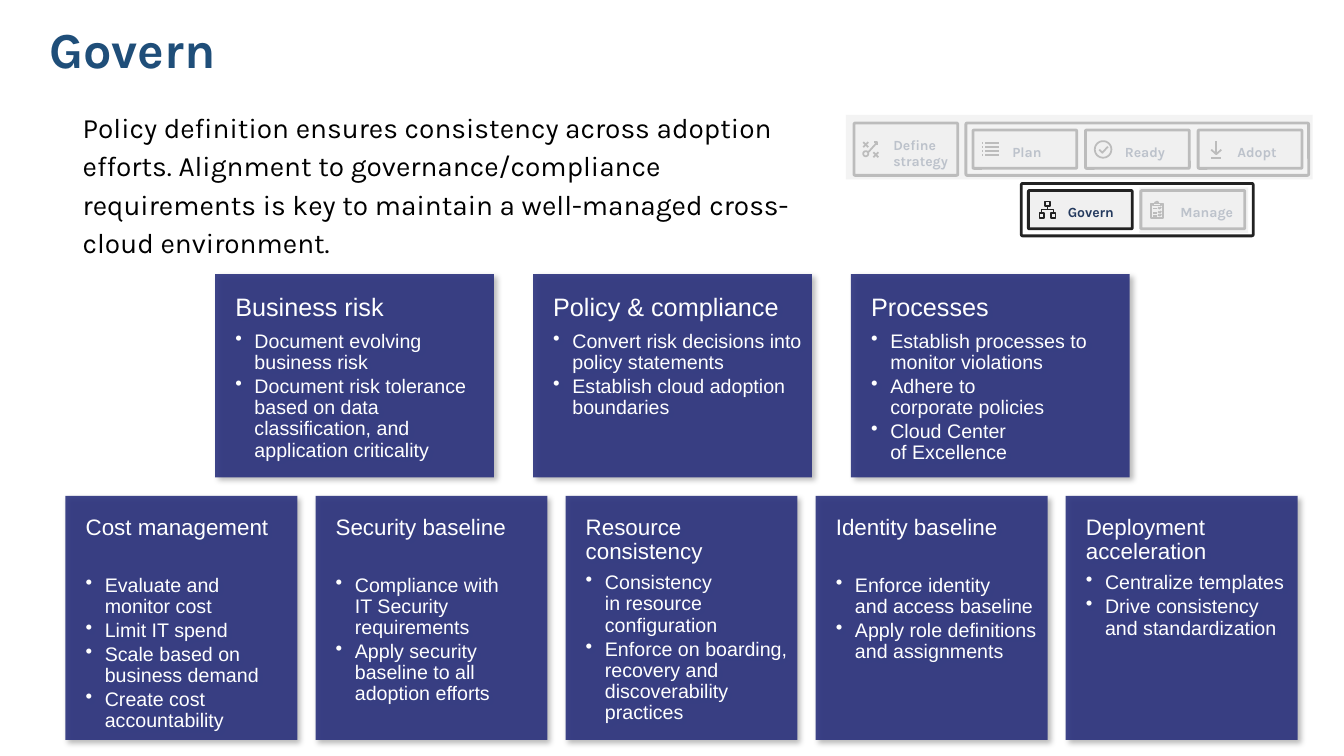
import math

from lxml import etree
from pptx import Presentation
from pptx import util as u
from pptx.dml.color import RGBColor
from pptx.enum import shapes, text
from pptx.oxml.ns import qn

COLUMNS, ROWS = 160, 90  # square cells, twelve to the inch


def color(value):
    return RGBColor.from_string(value)


class Canvas:
    """Style and current slide; places and sizes are given in grid cells."""

    ink, pale, navy, white = "222222", "F0F0F0", "2A317D", "FFFFFF"
    heading_font, card_font = "Karla", "Arial"

    def __init__(self, presentation):
        self.cell = presentation.slide_height / ROWS
        self.slide = presentation.slides.add_slide(presentation.slide_layouts[6])
        self.shapes = self.slide.shapes

    def start_group(self):
        self.shapes = self.slide.shapes.add_group_shape().shapes

    def end_group(self):
        self.shapes = self.slide.shapes

    def place(self, *cells):
        return [u.Emu(round(value * self.cell)) for value in cells]

    def paint(self, shape, fill=None, line=None, width=2, opacity=100):
        shape.shadow.inherit = False
        if fill:
            shape.fill.solid()
            shape.fill.fore_color.rgb = color(fill)
            if opacity < 100:
                tint = shape._element.spPr.find(qn("a:solidFill"))[0]
                etree.SubElement(tint, qn("a:alpha"), val=str(opacity * 1000))
        else:
            shape.fill.background()
        if line:
            shape.line.color.rgb = color(line)
            shape.line.width = u.Pt(width)
        else:
            shape.line.fill.background()

    def box(self, left, top, width, height, rounded=False, **style):
        kind = shapes.MSO_SHAPE.ROUNDED_RECTANGLE if rounded else shapes.MSO_SHAPE.RECTANGLE
        shape = self.shapes.add_shape(kind, *self.place(left, top, width, height))
        if rounded:
            shape.adjustments[0] = 0.025
        self.paint(shape, **style)
        return shape

    def set_insets(self, frame, left, top, right, bottom):
        frame.word_wrap = True
        frame.margin_left, frame.margin_top, frame.margin_right, frame.margin_bottom = self.place(
            left, top, right, bottom)

    def set_text(self, paragraph, wording, size, font, ink, bold=False, spacing=None, after=None):
        paragraph.text = wording
        paragraph.alignment = text.PP_ALIGN.LEFT
        paragraph.line_spacing = spacing
        if after is not None:
            paragraph.space_after = u.Pt(after)
        paragraph.font.size = u.Pt(size)
        paragraph.font.name = font
        paragraph.font.bold = bold
        paragraph.font.color.rgb = color(ink)

    def label(self, place, wording, size, ink, insets, anchor=text.MSO_ANCHOR.TOP, **style):
        frame = self.shapes.add_textbox(*self.place(*place)).text_frame
        self.set_insets(frame, *insets)
        frame.vertical_anchor = anchor
        self.set_text(frame.paragraphs[0], wording, size, self.heading_font, ink, **style)

    def icon(self, left, top, strokes):
        """Draw open strokes, given in hundredths of an inch."""
        builder = None
        for stroke in strokes:
            first, *rest = [(x * 10, y * 10) for x, y in stroke]
            if builder is None:
                builder = self.shapes.build_freeform(*first, scale=u.Inches(1) / 1000)
            else:
                builder.move_to(*first)
            builder.add_line_segments(rest, close=False)
        self.paint(builder.convert_to_shape(*self.place(left, top)), line=self.ink, width=1.25)

    def step(self, left, top, wording, offset, strokes, height=4.56, lines=1):
        self.box(left, top, 12.36, height, rounded=True, fill=self.pale, line=self.ink)
        self.label((left - 0.12, top + 1.56, 12.6, 1.56 * lines), wording, 10, "243A5E",
                   (4.8, 0, 0, 0), bold=True)
        self.icon(left + offset[0], top + offset[1], strokes)

    def card(self, place, heading, size, gap, bullets):
        shape = self.box(*place, fill=self.navy, opacity=90)
        effects = shape._element.spPr.find(qn("a:effectLst"))
        shadow = etree.SubElement(effects, qn("a:outerShdw"), blurRad="50800", dist="38100",
                                  dir="2700000", algn="tl", rotWithShape="0")
        tint = etree.SubElement(shadow, qn("a:srgbClr"), val="000000")
        etree.SubElement(tint, qn("a:alpha"), val="30000")
        frame = shape.text_frame
        self.set_insets(frame, 2.4, 2.4, 1.2, 0)
        frame.vertical_anchor = text.MSO_ANCHOR.TOP
        self.set_text(frame.paragraphs[0], heading, size, self.card_font, self.white,
                      spacing=0.9, after=gap)
        for bullet in bullets:
            paragraph = frame.add_paragraph()
            properties = paragraph._p.get_or_add_pPr()
            indent = u.Inches(0.19)
            properties.set("marL", str(int(indent)))
            properties.set("indent", str(-int(indent)))
            etree.SubElement(properties, qn("a:buChar"), char="•")
            self.set_text(paragraph, bullet, 14, self.card_font, self.white, spacing=0.9, after=2)


def ring(x, y, radius):
    angles = [math.tau * turn / 32 for turn in range(33)]
    return [(x + radius * math.cos(a), y + radius * math.sin(a)) for a in angles]


def square(x, y, width, height):
    return [(x, y), (x + width, y), (x + width, y + height), (x, y + height), (x, y)]


# Icon strokes
STRATEGY = [[(5, 5), (0, 0)], [(5, 0), (0, 5)], [(15, 15), (10, 10)], [(15, 10), (10, 15)],
            ring(2.5, 11.5, 2.5), [(5, 10), (14, 0)], [(14, 3), (14, 0), (11, 0)]]
PLAN = [[(x, y), (end, y)] for y in range(0, 13, 4) for x, end in ((3, 16.5), (0, 1))]
READY = [ring(8.25, 8.25, 8.25), [(4.5, 8.5), (7.5, 11.5), (13, 5.5)]]
ADOPT = [[(10, 8.5), (5, 13), (0, 8.5)], [(5, 13), (5, 0)], [(0, 16.5), (10, 16.5)]]
GOVERN = [square(0, 11, 4.5, 5), square(11.5, 11, 4.5, 5), square(5.5, 0, 5, 4.5),
          [(8, 4.5), (8, 8)], [(14, 11), (14, 8), (2, 8), (2, 11)]]
MANAGE = [square(2, 2, 8, 2), [(4, 2), (4, 1), (6, 0), (7, 1), (7, 2)],
          [(2, 2), (0, 2), (0, 16), (12, 16), (12, 2), (10, 2)]]
MANAGE += [[(2, y), (6, y)] for y in (7, 11, 14)]
MANAGE += [[(7, y), (8.5, y + 1), (10, y - 0.5)] for y in (6, 10, 13)]

# Cards: heading, space after it, bullets
TOP_CARDS = [
    ("Business risk", 7, ["Document evolving business risk",
     "Document risk tolerance based on data classification, and application criticality"]),
    ("Policy & compliance", 7, ["Convert risk decisions into policy statements",
                                "Establish cloud adoption boundaries"]),
    ("Processes", 7, ["Establish processes to\nmonitor violations",
                      "Adhere to\ncorporate policies", "Cloud Center\nof Excellence"]),
]
BOTTOM_CARDS = [
    ("Cost management", 25, ["Evaluate and monitor cost", "Limit IT spend",
                             "Scale based on\nbusiness demand", "Create cost accountability"]),
    ("Security baseline", 25, ["Compliance with\nIT Security requirements",
                               "Apply security baseline to all adoption efforts"]),
    ("Resource consistency", 6, ["Consistency\nin resource configuration",
     "Enforce on boarding, recovery and discoverability practices"]),
    ("Identity baseline", 25, ["Enforce identity\nand access baseline",
                               "Apply role definitions and assignments"]),
    ("Deployment acceleration", 6, ["Centralize templates",
                                    "Drive consistency and standardization"]),
]


def main():
    presentation = Presentation()
    presentation.slide_width, presentation.slide_height = u.Inches(13.33), u.Inches(7.5)
    canvas = Canvas(presentation)

    # Title
    canvas.label((4.68, 1.8, 148.8, 8.88), "Govern", 36, "1F4E79", (1.2, 0.6, 1.2, 0.6),
                 anchor=text.MSO_ANCHOR.MIDDLE, bold=True, spacing=0.9)

    # Stage map, with all stages but Govern veiled
    canvas.start_group()
    pitch = 13.4
    canvas.box(114.96, 14.64, 40.8, 6.24, rounded=True, line=canvas.ink)
    canvas.step(101.64, 14.64, "Define strategy", (1.1, 2.28), STRATEGY, height=6.24, lines=2)
    upper = [("Plan", (1.1, 1.56), PLAN), ("Ready", (1.1, 1.32), READY),
             ("Adopt", (1.56, 1.32), ADOPT)]
    for index, stage in enumerate(upper):
        canvas.step(115.8 + index * pitch, 15.48, *stage)
    canvas.box(121.56, 21.84, 27.6, 6.24, rounded=True, line=canvas.ink)
    lower = [("Govern", (1.32, 1.32), GOVERN), ("Manage", (1.2, 1.32), MANAGE)]
    for index, stage in enumerate(lower):
        canvas.step(122.4 + index * pitch, 22.68, *stage)
    for veil in ((100.68, 13.68, 55.56, 7.68), (135.6, 22.32, 12.96, 5.4)):
        canvas.box(*veil, fill=canvas.pale, opacity=75)
    canvas.end_group()

    # Cards
    for index, (heading, gap, bullets) in enumerate(BOTTOM_CARDS):
        canvas.card((7.8 + index * 29.76, 59.04, 27.6, 29.04), heading, 16, gap, bullets)
    for index, (heading, gap, bullets) in enumerate(TOP_CARDS):
        canvas.card((25.6 + index * 37.84, 32.64, 33.18, 24.2), heading, 18, gap, bullets)

    # Introduction
    canvas.label((9.84, 12, 87.24, 19.68), "Policy definition ensures consistency across "
                 "adoption efforts. Alignment to governance/compliance requirements is key to "
                 "maintain a well-managed cross-cloud environment.", 20, "000000",
                 (0, 0.6, 1.2, 0.6), spacing=1.14)

    presentation.save("out.pptx")


if __name__ == "__main__":
    main()
